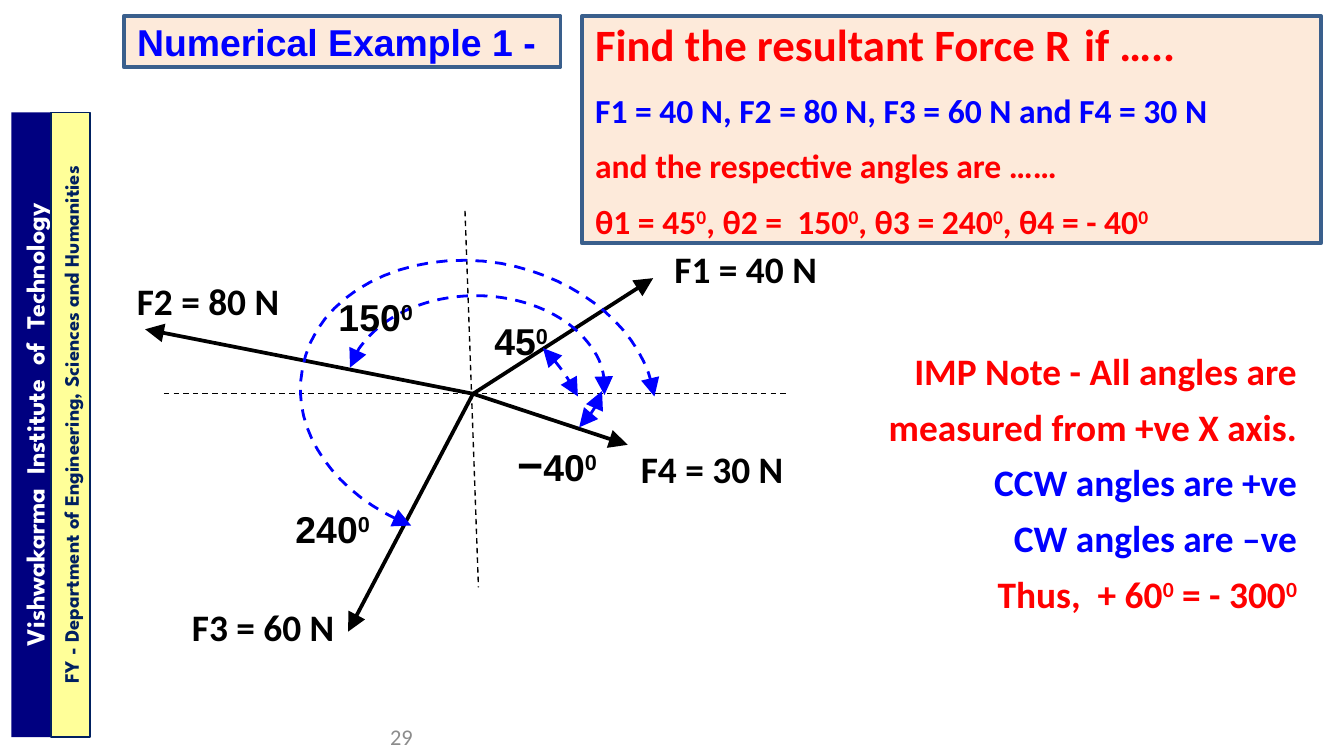
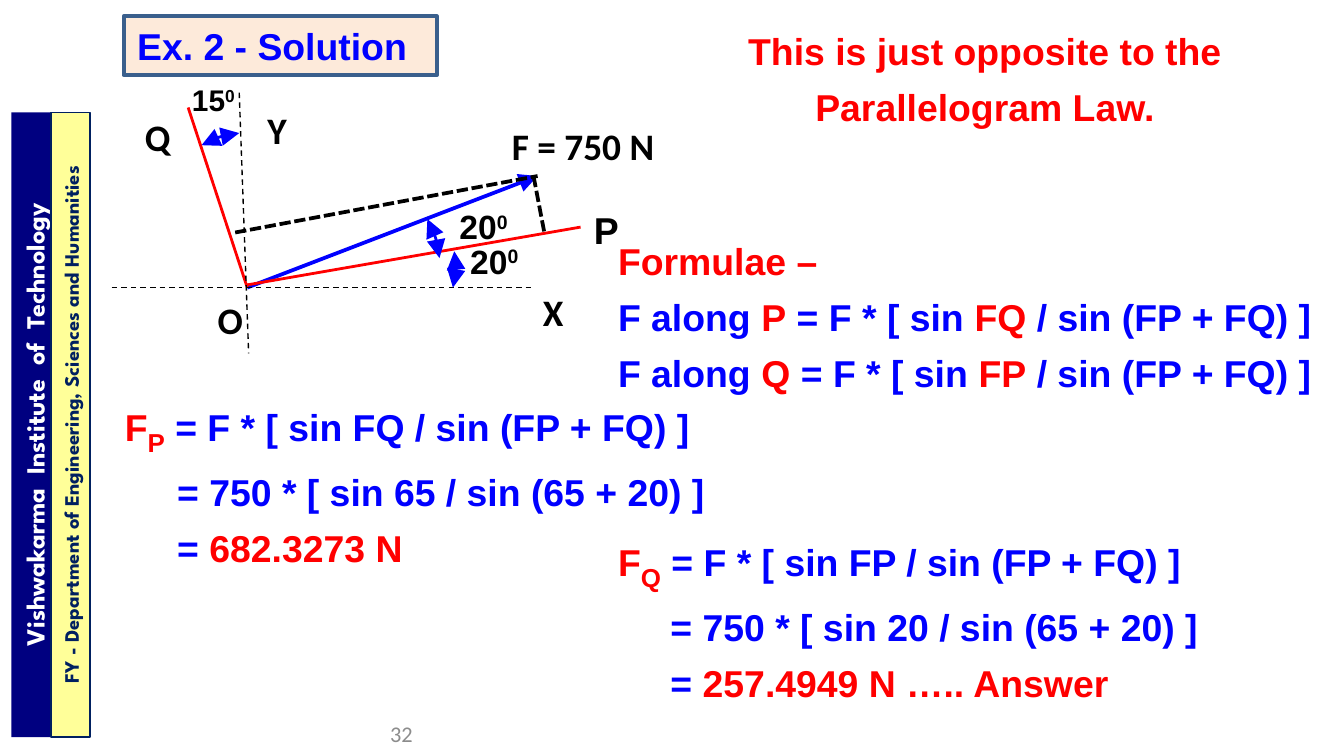
from dataclasses import dataclass

from lxml import etree
from pptx import Presentation
from pptx.dml.color import RGBColor
from pptx.enum.dml import MSO_LINE
from pptx.enum.shapes import MSO_CONNECTOR, MSO_SHAPE
from pptx.enum.text import MSO_ANCHOR, MSO_AUTO_SIZE, PP_ALIGN
from pptx.oxml.ns import qn
from pptx.util import Inches, Pt

DASH, SHORT_DASH = MSO_LINE.DASH, MSO_LINE.SQUARE_DOT
LEFT, CENTER, RIGHT = PP_ALIGN.LEFT, PP_ALIGN.CENTER, PP_ALIGN.RIGHT
TOP, MIDDLE = MSO_ANCHOR.TOP, MSO_ANCHOR.MIDDLE
RECTANGLE, ARC = MSO_SHAPE.RECTANGLE, MSO_SHAPE.ARC


@dataclass(frozen=True)
class Theme:
    blue: str = "0000FF"
    red: str = "FF0000"
    black: str = "000000"
    white: str = "FFFFFF"
    grey: str = "8C8C8C"
    peach: str = "FDEADA"
    steel: str = "3A5F8C"
    navy: str = "000080"
    ink: str = "002060"
    yellow: str = "FFFF99"
    sans: str = "Arial"
    body: str = "Calibri"
    band: str = "League Spartan"
    text: int = 20
    small: int = 18
    tiny: int = 16
    large: int = 24
    leading: int = 30
    border: float = 2
    arc: float = 1.5
    hair: float = 0.75


T = Theme()
WIDTH = 10
HEIGHT = WIDTH * 9 / 16
EQUATION_INDENT = 0.39
CURVE_STEPS = 16

# Content shared by the slides: text, centre x, thickness, fill, line, colour, size
BANDS = [
    ("Vishwakarma  Institute  of  Technology", 0.255, 0.34, T.navy, None, T.white, 14),
    ("FY - Department of Engineering, Sciences and Humanities",
     0.525, 0.29, T.yellow, T.ink, T.ink, 11),
]
BAND_LENGTH, BAND_MIDDLE = 4.65, 3.16

# Slide 1: spans are (text, colour, size, baseline), and ^...^ marks a superscript
PROBLEM = [
    [("Find the resultant Force R", T.red, T.large), (" ", T.red, 32),
     ("if …..", T.red, T.large)],
    [("F1 = 40 N, F2 = 80 N, F3 = 60 N and F4 = 30 N", T.blue)],
    [("and the respective angles are ……", T.red)],
    [("θ1 = 45^0^, θ2 =  150^0^, θ3 = 240^0^, θ4 = - 40^0^", T.red)],
]
NOTE = [
    [("IMP Note - All angles are measured from +ve X axis.", T.red)],
    [("CCW angles are +ve", T.blue)],
    [("CW angles are –ve", T.blue)],
    [("Thus,  + 60^0^ = - 300^0^", T.red)],
]
FORCE_ORIGIN = (3.52, 2.93)
# Tip of the force, label, label box
FORCES = [
    ((4.86, 2.07), "F1 = 40 N", (4.92, 1.78, 1.5, 0.43)),
    ((1.08, 2.45), "F2 = 80 N", (0.92, 2.02, 1.67, 0.43)),
    ((2.59, 4.7), "F3 = 60 N", (1.33, 4.45, 1.33, 0.43)),
    ((4.67, 3.31), "F4 = 30 N", (4.67, 3.27, 1.42, 0.43)),
]
FORCE_AXES = [((1.22, 2.93), (5.86, 2.93)), ((3.46, 1.57), (3.56, 4.37))]
FORCE_ANGLES = [
    ([("−", T.black, T.large), ("40^0^", T.black)], (3.75, 3.2)),
    ([("240^0^", T.black)], (2.1, 3.72)),
    ([("150^0^", T.black)], (2.42, 2.14)),
    ([("45^0^", T.black)], (3.58, 2.32)),
]
# Cubic curves: a start point, then two handles and an end for each stretch
FORCE_CURVES = [
    [(4.04, 2.59), (4.16, 2.71), (4.24, 2.83), (4.3, 2.95)],
    [(3.06, 3.91), (2.5, 3.69), (2.16, 3.21), (2.25, 2.75), (2.34, 2.19),
     (3.01, 1.84), (3.73, 1.96), (4.33, 2.07), (4.8, 2.47), (4.87, 2.95)],
    [(4.48, 2.91), (4.45, 3.01), (4.39, 3.1), (4.31, 3.18)],
]

# Slide 2
FORMULAE = [[("Formulae –", T.red)]] + [
    [("F along ", T.blue), (axis, T.red), (" = F * [ sin ", T.blue),
     (angle, T.red), (" / sin (FP + FQ) ]", T.blue)]
    for axis, angle in (("P", "FQ"), ("Q", "FP"))
]
# Axis, angle name, degrees, result, box
SOLUTIONS = [
    ("P", "FQ", 65, "682.3273 N", (0.83, 3, 4.58, 1.23)),
    ("Q", "FP", 20, "257.4949 N ….. Answer", (4.5, 3.92, 4.58, 1.4)),
]
REMARK = [[("This is just opposite to the Parallelogram Law.", T.red)]]
RESOLVED_ORIGIN = (1.84, 2.14)
FORCE_TIP = (4, 1.31)
# Start, end, colour, width, dash
RESOLVED_LINES = [
    ((1.84, 2.12), (4.32, 1.69), T.red, T.arc, None),
    (RESOLVED_ORIGIN, (1.4, 0.8), T.red, T.arc, None),
    ((0.83, 2.14), (3.96, 2.14), T.black, T.hair, DASH),
    ((1.78, 0.69), (1.85, 2.63), T.black, T.hair, DASH),
    ((1.75, 1.73), FORCE_TIP, T.black, T.border, SHORT_DASH),
    ((3.97, 1.31), (4.05, 1.73), T.black, T.border, SHORT_DASH),
]
# Text, left, top, width, font, size
RESOLVED_LABELS = [
    ("F = 750 N", 3.71, 0.87, 1.29, T.body, T.text),
    ("X", 3.94, 2.1, 0.45, T.body, T.text),
    ("Y", 1.89, 0.75, 0.45, T.body, T.text),
    ("P", 4.32, 1.49, 0.45, T.sans, T.text),
    ("Q", 0.98, 0.8, 0.45, T.body, T.text),
    ("O", 1.52, 2.16, 0.45, T.body, T.text),
    ("20^0^", 3.4, 1.74, 0.68, T.sans, T.small),
    ("20^0^", 3.32, 1.48, 0.68, T.sans, T.small),
    ("15^0^", 1.33, 0.56, 0.61, T.sans, T.tiny),
]
RESOLVED_CURVES = [
    [(3.38, 1.87), (3.4, 1.95), (3.4, 2.04), (3.37, 2.14)],
    [(3.18, 1.63), (3.23, 1.72), (3.26, 1.81), (3.27, 1.92)],
    [(1.5, 1.08), (1.58, 1.03), (1.68, 1), (1.78, 0.99)],
]


def inches(values):
    return [Inches(value) for value in values]


# Text
def write(shape, paragraphs, font=T.sans, size=T.text, align=LEFT, anchor=TOP,
          leading=None, bold=True):
    frame = shape.text_frame
    frame.word_wrap = True
    frame.auto_size = MSO_AUTO_SIZE.NONE
    frame.vertical_anchor = anchor
    for number, spans in enumerate(paragraphs):
        para = frame.add_paragraph() if number else frame.paragraphs[0]
        para.alignment = align
        if leading:
            para.line_spacing = Pt(leading)
        if spans[0][0].startswith("="):
            para._p.get_or_add_pPr().set("marL", str(Inches(EQUATION_INDENT)))
        for text, colour, *extra in spans:
            span_size, baseline = extra + [size, 0][len(extra):]
            for place, piece in enumerate(text.split("^")):
                if not piece:
                    continue
                span = para.add_run()
                span.text = piece
                span.font.name, span.font.bold = font, bold
                span.font.size = Pt(span_size)
                span.font.color.rgb = RGBColor.from_string(colour)
                shift = 30 if place % 2 else baseline
                if shift:
                    span.font._element.set("baseline", str(shift * 1000))


def add_text(page, box, paragraphs, **style):
    write(page.shapes.add_textbox(*inches(box)), paragraphs, **style)


# Outlines and fills
def paint(shape, fill=None, line=None, width=T.border):
    if fill:
        shape.fill.solid()
        shape.fill.fore_color.rgb = RGBColor.from_string(fill)
    else:
        shape.fill.background()
    if line:
        stroke(shape, line, width)
    else:
        shape.line.fill.background()


def stroke(shape, colour, width, dash=None, head=False, tail=False):
    shape.line.color.rgb = RGBColor.from_string(colour)
    shape.line.width = Pt(width)
    if dash:
        shape.line.dash_style = dash
    for wanted, tag in ((head, "a:headEnd"), (tail, "a:tailEnd")):
        if wanted:
            etree.SubElement(shape.line._get_or_add_ln(), qn(tag),
                             type="triangle", w="lg", len="lg")


def add_box(page, box, fill, line=None, width=T.border, kind=RECTANGLE):
    shape = page.shapes.add_shape(kind, *inches(box))
    shape.shadow.inherit = False
    paint(shape, fill, line, width)
    return shape


def add_line(page, start, end, colour, width, dash=None, tail=False):
    line = page.shapes.add_connector(MSO_CONNECTOR.STRAIGHT, *inches(start + end))
    stroke(line, colour, width, dash, tail=tail)
    etree.SubElement(line._element.spPr, qn("a:effectLst"))


def trace(points):
    """Points along a chain of cubic curves."""
    for first in range(0, len(points) - 1, 3):
        a, b, c, d = points[first:first + 4]
        for step in range(1, CURVE_STEPS + 1):
            t = step / CURVE_STEPS
            u = 1 - t
            yield tuple(
                Inches(u**3 * a[i] + 3 * u * u * t * b[i] + 3 * u * t * t * c[i] + t**3 * d[i])
                for i in (0, 1))


def add_curve(page, points, dash=None):
    builder = page.shapes.build_freeform(*inches(points[0]))
    builder.add_line_segments(list(trace(points)), close=False)
    curve = builder.convert_to_shape()
    curve.shadow.inherit = False
    curve.fill.background()
    stroke(curve, T.blue, T.arc, dash, head=True, tail=True)


# Parts that every slide has
def start_page(deck, title, title_size, number, number_top):
    page = deck.slides.add_slide(deck.slide_layouts[5])
    heading = page.shapes.title
    heading.left, heading.top, heading.width, heading.height = inches((0.92, 0.12) + title_size)
    paint(heading, T.peach, T.steel)
    write(heading, [[(title, T.blue)]], anchor=MIDDLE)
    add_text(page, (1, number_top, 2.17, 0.3), [[(number, T.grey)]], font=T.body,
             size=12, align=RIGHT, anchor=MIDDLE, bold=False)
    for text, center, depth, fill, line, colour, size in BANDS:
        box = (center - BAND_LENGTH / 2, BAND_MIDDLE - depth / 2, BAND_LENGTH, depth)
        band = add_box(page, box, fill, line, T.hair)
        band.rotation = 270
        write(band, [[(text, colour)]], font=T.band, size=size, align=CENTER, anchor=MIDDLE)
    return page


def build_example(deck):
    page = start_page(deck, "Numerical Example 1 -", (3.25, 0.38), "29", 5.33)
    problem = add_box(page, (4.33, 0.12, 5.5, 1.69), T.peach, T.steel)
    write(problem, PROBLEM, font=T.body, size=T.small, anchor=MIDDLE, leading=T.leading)
    # Force diagram
    for tip, label, box in FORCES:
        add_line(page, FORCE_ORIGIN, tip, T.black, T.border, tail=True)
        add_text(page, box, [[(label, T.black)]], font=T.body)
    for start, end in FORCE_AXES:
        add_line(page, start, end, T.black, T.hair, DASH)
    for points in FORCE_CURVES:
        add_curve(page, points, DASH)
    arc = add_box(page, (2.58, 2.2, 1.92, 1.38), None, kind=ARC)
    arc.adjustments[0], arc.adjustments[1] = 113.638, 1.749
    stroke(arc, T.blue, T.arc, DASH, head=True, tail=True)
    for spans, corner in FORCE_ANGLES:
        add_text(page, corner + (0.98, 0.43), [spans])
    # Sign convention
    add_text(page, (6.42, 2.44, 3.33, 2.21), NOTE, font=T.body, align=RIGHT,
             anchor=MIDDLE, leading=T.leading)


def build_solution(deck):
    page = start_page(deck, "Ex. 2 - Solution", (2.33, 0.44), "32", 5.31)
    # Resolved force diagram
    add_line(page, RESOLVED_ORIGIN, FORCE_TIP, T.blue, T.border, tail=True)
    for line in RESOLVED_LINES:
        add_line(page, *line)
    for points in RESOLVED_CURVES:
        add_curve(page, points)
    for text, left, top, width, font, size in RESOLVED_LABELS:
        add_text(page, (left, top, width, 0.4), [[(text, T.black)]], font=font, size=size)
    # Formulae and worked results
    block = {"anchor": MIDDLE, "leading": T.leading}
    add_text(page, (4.83, 0.12, 5, 0.85), REMARK, align=CENTER, **block)
    add_text(page, (4.5, 1.73, 5.42, 1.17), FORMULAE, **block)
    for axis, angle, degrees, result, box in SOLUTIONS:
        steps = [
            [("F", T.red), (axis, T.red, T.large, -25),
             (f" = F * [ sin {angle} / sin (FP + FQ) ]", T.blue)],
            [(f"= 750 * [ sin {degrees} / sin (65 + 20) ]", T.blue)],
            [("= ", T.blue), (result, T.red)],
        ]
        add_text(page, box, steps, **block)


def main():
    deck = Presentation()
    deck.slide_width, deck.slide_height = inches((WIDTH, HEIGHT))
    build_example(deck)
    build_solution(deck)
    deck.save("out.pptx")


if __name__ == "__main__":
    main()
